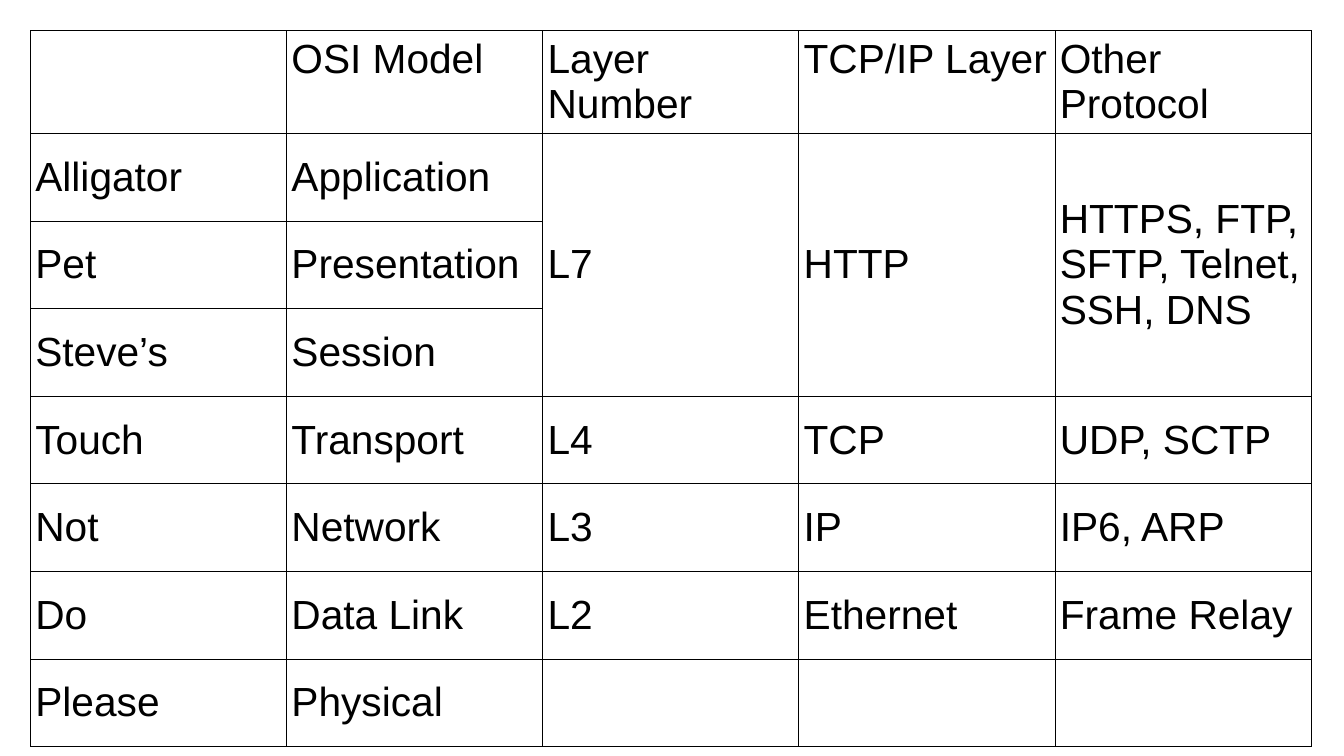
from lxml import etree
from pptx import Presentation
from pptx.dml.color import RGBColor
from pptx.enum.text import MSO_ANCHOR
from pptx.oxml.ns import qn
from pptx.util import Inches, Pt

BLACK = RGBColor(0x00, 0x00, 0x00)
TOP, MIDDLE = MSO_ANCHOR.TOP, MSO_ANCHOR.MIDDLE
BORDER_WIDTH = Pt(0.57)
HEADER_HEIGHT = Inches(0.84)
BLANK_LAYOUT = 6

MARGINS = {
    "margin_left": Inches(0.04),
    "margin_right": Inches(0.04),
    "margin_top": Inches(0.05),
    "margin_bottom": Inches(0.05),
}
FONT = {"name": "Arial", "size": Pt(24)}

# Mnemonic, OSI layer, layer number, TCP/IP layer, other protocols
LAYERS = [
    ["", "OSI Model", "Layer Number", "TCP/IP Layer", "Other Protocol"],
    ["Alligator", "Application", "L7", "HTTP", "HTTPS, FTP, SFTP, Telnet, SSH, DNS"],
    ["Pet", "Presentation", "", "", ""],
    ["Steve’s", "Session", "", "", ""],
    ["Touch", "Transport", "L4", "TCP", "UDP, SCTP"],
    ["Not", "Network", "L3", "IP", "IP6, ARP"],
    ["Do", "Data Link", "L2", "Ethernet", "Frame Relay"],
    ["Please", "Physical", "", "", ""],
]
L7_FIRST, L7_LAST = 1, 3
L7_COLUMNS = range(2, 5)


def draw_borders(cell):
    """Put a thin black line on all four sides; lines come before the fill."""
    properties = cell._tc.get_or_add_tcPr()
    for position, side in enumerate(("lnL", "lnR", "lnT", "lnB")):
        line = etree.Element(qn(f"a:{side}"), w=str(BORDER_WIDTH))
        fill = etree.SubElement(line, qn("a:solidFill"))
        etree.SubElement(fill, qn("a:srgbClr"), val=str(BLACK))
        properties.insert(position, line)


def format_cell(cell, wording, anchor):
    for name, value in MARGINS.items():
        setattr(cell, name, value)
    cell.vertical_anchor = anchor
    cell.fill.background()
    draw_borders(cell)
    if wording:
        run = cell.text_frame.paragraphs[0].add_run()
        run.text = wording
        for name, value in FONT.items():
            setattr(run.font, name, value)
        run.font.color.rgb = BLACK


def add_layer_table(slide, left, top, width, height):
    """Place the OSI and TCP/IP comparison in the given box."""
    row_count, column_count = len(LAYERS), len(LAYERS[0])
    table = slide.shapes.add_table(
        row_count, column_count, left, top, width, height
    ).table
    table.first_row = False
    table.horz_banding = False

    # Equal columns; a taller header above equal layer rows
    for column in table.columns:
        column.width = width // column_count
    layer_height = (height - HEADER_HEIGHT) // (row_count - 1)
    for index, row in enumerate(table.rows):
        row.height = layer_height if index else HEADER_HEIGHT

    for r, layer in enumerate(LAYERS):
        for c, wording in enumerate(layer):
            format_cell(table.cell(r, c), wording, MIDDLE if r else TOP)

    # The three upper OSI layers share one TCP/IP layer
    for c in L7_COLUMNS:
        table.cell(L7_FIRST, c).merge(table.cell(L7_LAST, c))


presentation = Presentation()
presentation.slide_width = Inches(11.02)
presentation.slide_height = Inches(6.2)
layers_slide = presentation.slides.add_slide(
    presentation.slide_layouts[BLANK_LAYOUT]
)
add_layer_table(
    layers_slide, Inches(0.25), Inches(0.25), Inches(10.5), Inches(5.87)
)
presentation.save("out.pptx")
